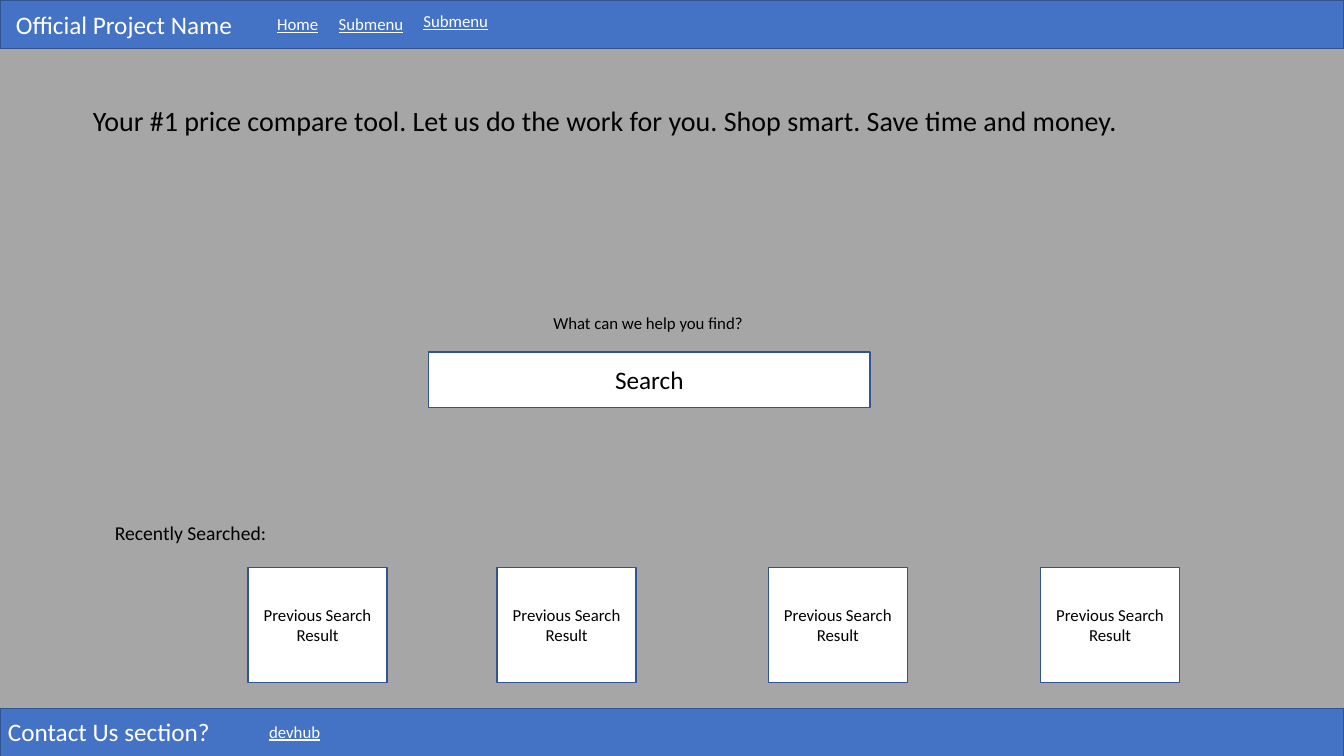
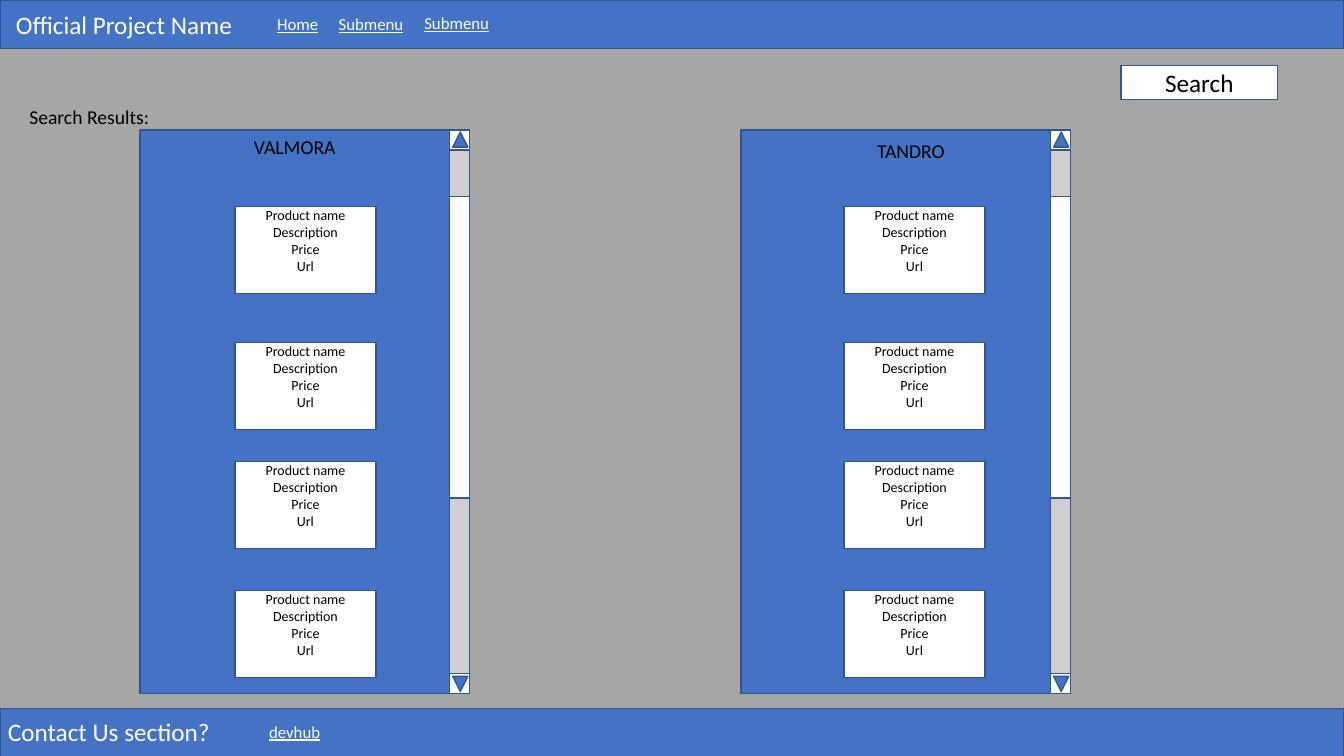
from pptx import Presentation
from pptx.dml.color import RGBColor
from pptx.enum.shapes import MSO_SHAPE as Shape
from pptx.enum.text import MSO_ANCHOR as Anchor, MSO_AUTO_SIZE as AutoSize, PP_ALIGN as Align
from pptx.util import Inches, Pt

COLORS = {
    "page": "A6A6A6",
    "brand": "4472C4",
    "edge": "325491",
    "track": "D0CECE",
    "white": "FFFFFF",
    "black": "000000",
}
FONT = "Calibri"
TITLE_ONLY = 5


def color(name):
    """Return the named colour."""
    return RGBColor.from_string(COLORS[name])


def write(frame, text, size=12, ink="black", align=Align.LEFT, anchor=Anchor.TOP,
          underline=None, top_inset=0.05, auto_size=AutoSize.NONE):
    """Fill a text frame, one paragraph per line of text."""
    frame.word_wrap = True
    frame.auto_size = auto_size
    frame.vertical_anchor = anchor
    frame.margin_left = frame.margin_right = Inches(0.1)
    frame.margin_top, frame.margin_bottom = Inches(top_inset), Inches(0.05)
    frame.text = text
    for paragraph in frame.paragraphs:
        paragraph.alignment = align
        for run in paragraph.runs:
            run.font.name, run.font.size = FONT, Pt(size)
            run.font.color.rgb = color(ink)
            run.font.underline = underline


class Wireframe:
    """Draws the pages of the site in one shared style."""

    def __init__(self):
        self.deck = Presentation()
        self.deck.slide_width, self.deck.slide_height = Inches(13.33), Inches(7.5)
        self.slide = None

    def page(self, title, box, size, last_link):
        """Start a page with its title, header and footer."""
        self.slide = self.deck.slides.add_slide(self.deck.slide_layouts[TITLE_ONLY])
        background = self.slide.background.fill
        background.solid()
        background.fore_color.rgb = color("page")
        heading = self.slide.shapes.title
        heading.left, heading.top, heading.width, heading.height = map(Inches, box)
        write(heading.text_frame, title, size=size)

        self.box(0, 0, 13.33, 0.48, fill="brand")
        self.label("Official Project Name", 0.06, 0.04, 2.54, 0.4, size=18, ink="white")
        self.link("Home", 2.65, 0.09, 0.61)
        self.link("Submenu", 3.26, 0.09, 0.92)
        self.link("Submenu", *last_link, 0.92)

        self.box(0, 7.03, 13.33, 0.48, fill="brand")
        self.label("Contact Us section?", -0.02, 7.06, 2.54, 0.4, size=18, ink="white")
        self.link("devhub", 2.57, 7.11, 0.92)

    def box(self, left, top, width, height, text="", fill="white", kind=Shape.RECTANGLE,
            turn=0, **style):
        """Add an outlined shape with optional centred text."""
        shape = self.slide.shapes.add_shape(kind, *map(Inches, (left, top, width, height)))
        shape.shadow.inherit = False
        shape.fill.solid()
        shape.fill.fore_color.rgb = color(fill)
        shape.line.color.rgb = color("edge")
        shape.line.width = Pt(1)
        shape.rotation = turn
        if text:
            style = {"align": Align.CENTER, "anchor": Anchor.MIDDLE, **style}
            write(shape.text_frame, text, **style)

    def label(self, text, left, top, width, height, **style):
        """Add a text box."""
        area = self.slide.shapes.add_textbox(*map(Inches, (left, top, width, height)))
        write(area.text_frame, text, auto_size=AutoSize.SHAPE_TO_FIT_TEXT, **style)

    def link(self, text, left, top, width):
        """Add an underlined menu entry."""
        self.label(text, left, top, width, 0.3, ink="white", underline=True)

    def scrollbar(self, left, top, height):
        """Add a track with end buttons, arrows and a thumb."""
        width = 0.2
        self.box(left, top, width, height, fill="track")
        self.box(left, top, width, width)
        self.box(left, top + height - width, width, width)
        self.box(left, top + 0.66, width, 2.99)
        for arrow_top, turn in ((top + 0.02, 0), (top + height - 0.17, 180)):
            self.box(left + 0.03, arrow_top, 0.15, 0.15, fill="brand",
                     kind=Shape.ISOSCELES_TRIANGLE, turn=turn)

    def store(self, name, left, name_left, name_top, card_left):
        """Add one store's scrolling panel of products."""
        top, width, height = 1.29, 3.27, 5.59
        self.box(left, top, width, height, fill="brand")
        self.label(name, name_left, name_top, 1.49, 0.34, size=14)
        for card_top in (2.05, 3.4, 4.58, 5.86):
            self.box(card_left, card_top, 1.4, 0.86, "Product name\nDescription\nPrice\nUrl",
                     size=10, anchor=Anchor.TOP, top_inset=0)
        self.scrollbar(left + width - 0.2, top, height)


site = Wireframe()

site.page("Your #1 price compare tool. Let us do the work for you. "
          "Shop smart. Save time and money.",
          (0.82, 0.98, 10.74, 0.44), size=20, last_link=(4.1, 0.06))
site.label("What can we help you find?", 5.39, 3.05, 2.3, 0.3)
site.box(4.25, 3.49, 4.38, 0.55, "Search", size=18)
site.label("Recently Searched:", 1.04, 5.12, 10.74, 0.34, size=14)
for result_left in (2.46, 4.93, 7.62, 10.32):
    site.box(result_left, 5.63, 1.38, 1.14, "Previous Search Result")

site.page("Search Results:", (0.19, 0.99, 1.49, 0.34), size=14, last_link=(4.11, 0.08))
site.box(11.12, 0.65, 1.55, 0.34, "Search", size=18)
site.store("VALMORA", 1.39, name_left=2.42, name_top=1.29, card_left=2.33)
site.store("TANDRO", 7.35, name_left=8.6, name_top=1.33, card_left=8.37)

site.deck.save("out.pptx")
